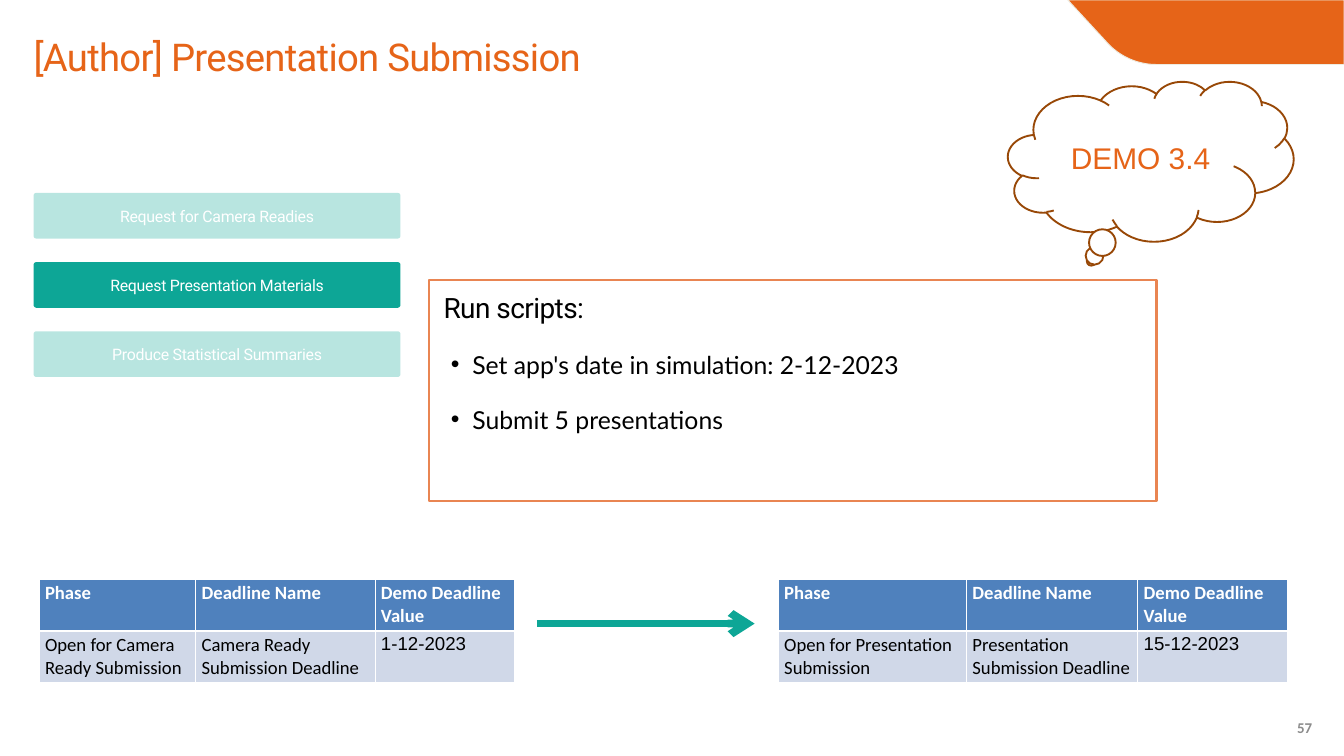
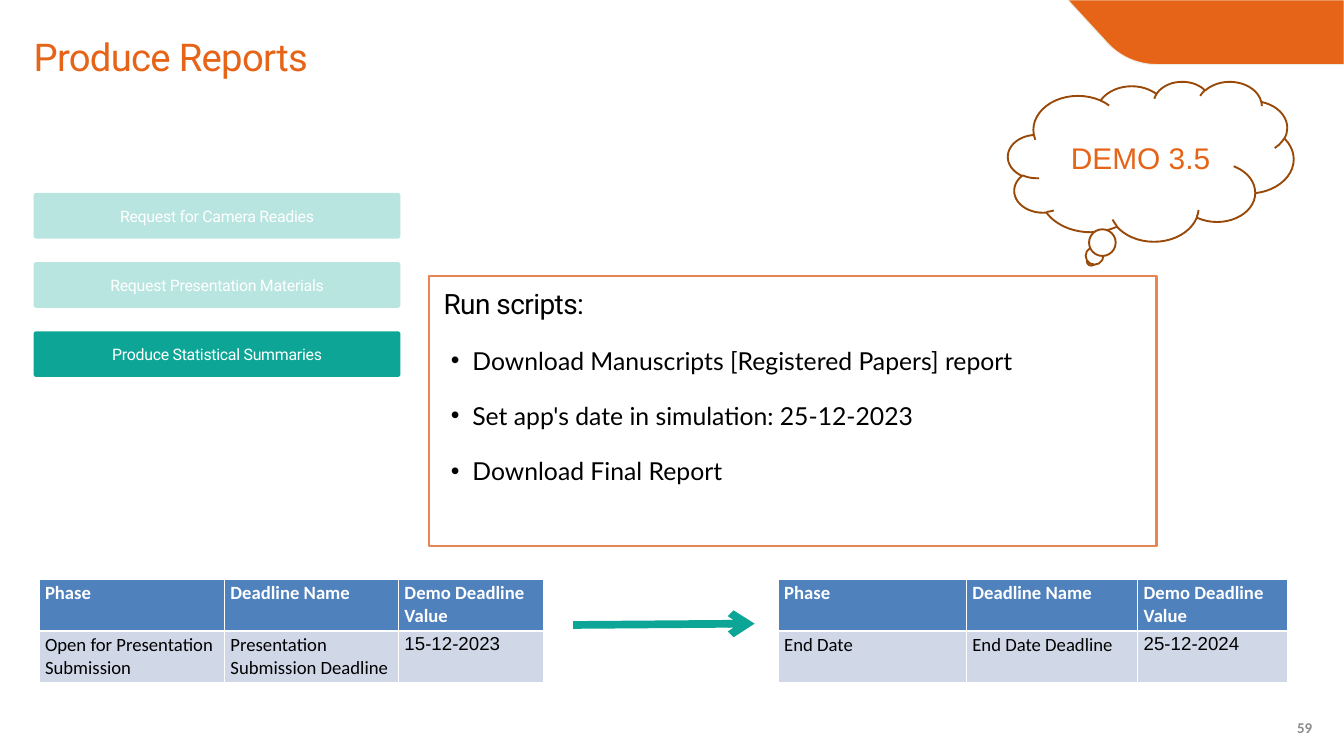
from dataclasses import dataclass

from lxml import etree
from pptx import Presentation
from pptx.dml.color import RGBColor
from pptx.enum.shapes import MSO_CONNECTOR, MSO_SHAPE
from pptx.enum.text import MSO_ANCHOR, MSO_AUTO_SIZE, PP_ALIGN
from pptx.oxml.ns import qn
from pptx.util import Inches, Pt

LEFT, CENTER = PP_ALIGN.LEFT, PP_ALIGN.CENTER
TOP, MIDDLE = MSO_ANCHOR.TOP, MSO_ANCHOR.MIDDLE
NO_AUTOFIT = MSO_AUTO_SIZE.NONE
STRAIGHT = MSO_CONNECTOR.STRAIGHT
CARD, CLOUD = MSO_SHAPE.ROUNDED_RECTANGLE, MSO_SHAPE.CLOUD_CALLOUT


@dataclass(frozen=True)
class Theme:
    orange: str = "E66418"
    panel_line: str = "E98552"
    cloud_line: str = "984807"
    band_line: str = "EEECE1"
    teal: str = "0DA696"
    header_blue: str = "4F81BD"
    row_blue: str = "D0D8E8"
    white: str = "FFFFFF"
    black: str = "000000"
    grey: str = "8C8C8C"
    heading_font: str = "Roboto"
    list_font: str = "Lato"
    table_font: str = "Calibri"
    plain_font: str = "Arial"
    title_size: float = 41
    heading_size: float = 30
    list_size: float = 26.5
    demo_size: float = 32
    table_size: float = 20
    card_size: float = 17
    number_size: float = 16


THEME = Theme()

STEPS = ["Request for Camera Readies", "Request Presentation Materials",
         "Produce Statistical Summaries"]
CARD_TOP, CARD_PITCH = 2.87, 1.03
TABLE_HEADER = ["Phase", "Deadline Name", "Demo Deadline Value"]
TABLE_TOP, ROW_HEIGHT = 8.62, 0.77
BEFORE_LEFT, AFTER_LEFT = 0.58, 11.58
AFTER_COLUMNS = [2.8, 2.55, 2.23]

SLIDES = [
    dict(title="[Author] Presentation Submission", number="57", demo="DEMO 3.4",
         active_step=1, panel_top=4.17, panel_height=3.29,
         scripts=["Set app's date in simulation: 2-12-2023",
                  "Submit 5 presentations"],
         before=["Open for Camera Ready Submission",
                 "Camera Ready Submission Deadline", "1-12-2023"],
         before_columns=[2.33, 2.67, 2.08],
         after=["Open for Presentation Submission",
                "Presentation Submission Deadline", "15-12-2023"],
         arrow_start=(7.99, 9.28)),
    dict(title="Produce Reports", number="59", demo="DEMO 3.5",
         active_step=2, panel_top=4.11, panel_height=4.02,
         scripts=["Download Manuscripts [Registered Papers] report",
                  "Set app's date in simulation: 25-12-2023",
                  "Download Final Report"],
         before=["Open for Presentation Submission",
                 "Presentation Submission Deadline", "15-12-2023"],
         before_columns=[2.76, 2.59, 2.16],
         after=["End Date", "End Date Deadline", "25-12-2024"],
         arrow_start=(8.53, 9.3)),
]


def rgb(color):
    return RGBColor.from_string(color)


def place(shape, left, top, width, height):
    shape.left, shape.top = Inches(left), Inches(top)
    shape.width, shape.height = Inches(width), Inches(height)


def paint(shape, fill, line=None, line_width=1):
    shape.fill.solid()
    shape.fill.fore_color.rgb = rgb(fill)
    if line:
        shape.line.color.rgb = rgb(line)
        shape.line.width = Pt(line_width)
    else:
        shape.line.fill.background()


def set_frame(shape, anchor, left=0.0, top=0.0, right=0.0, bottom=0.0):
    frame = shape.text_frame
    frame.word_wrap = True
    frame.auto_size = NO_AUTOFIT
    frame.vertical_anchor = anchor
    frame.margin_left, frame.margin_right = Inches(left), Inches(right)
    frame.margin_top, frame.margin_bottom = Inches(top), Inches(bottom)
    return frame


def write(paragraph, text, font, size, color, align=LEFT, bold=False,
          leading=None, tracking=None):
    """Fill a paragraph; leading and tracking are in points."""
    paragraph.text = text
    paragraph.alignment = align
    paragraph.space_before = Pt(0)
    if leading:
        paragraph.line_spacing = Pt(leading)
    style = paragraph.font
    style.name, style.size, style.bold = font, Pt(size), bold
    style.color.rgb = rgb(color)
    if tracking:
        properties = paragraph._p.get_or_add_pPr().find(qn("a:defRPr"))
        properties.set("spc", str(round(tracking * 100)))


def set_bullet(paragraph, symbol=None, margin=0.0, hanging=0.0):
    properties = paragraph._p.get_or_add_pPr()
    properties.set("marL", str(Inches(margin)))
    properties.set("indent", str(-Inches(hanging)))
    if symbol:
        etree.SubElement(properties, qn("a:buFont"), typeface=THEME.plain_font)
        etree.SubElement(properties, qn("a:buChar"), char=symbol)
    else:
        etree.SubElement(properties, qn("a:buNone"))


def add_title(slide, text):
    title = slide.shapes.title
    place(title, 0.5, 0.49, 17.92, 0.69)
    frame = set_frame(title, TOP)
    write(frame.paragraphs[0], text, THEME.heading_font, THEME.title_size,
          THEME.orange, leading=49.2, tracking=-0.8)


def add_script_panel(slide, top, height, scripts):
    panel = slide.placeholders[1]
    place(panel, 6.39, top, 10.82, height)
    paint(panel, THEME.white, THEME.panel_line, 2.25)
    frame = set_frame(panel, TOP, left=0.21, top=0.15, right=0.47)
    heading = frame.paragraphs[0]
    set_bullet(heading)
    write(heading, "Run scripts:", THEME.heading_font, THEME.heading_size,
          THEME.black, leading=36, tracking=-0.6)
    for script in scripts:
        item = frame.add_paragraph()
        item.level = 1
        set_bullet(item, "•", margin=0.43, hanging=0.32)
        write(item, script, THEME.list_font, THEME.list_size, THEME.black,
              leading=59.1)


def add_corner_band(slide):
    """Draw the band at the top right, with its rounded lower left corner."""
    curve = [(16.48, 0.64), (16.66, 0.84), (16.93, 0.96), (17.2, 0.96)]
    steps = 12
    outline = []
    for step in range(steps + 1):
        t = step / steps
        weights = [(1 - t) ** 3, 3 * t * (1 - t) ** 2, 3 * t ** 2 * (1 - t), t ** 3]
        outline.append(tuple(
            Inches(sum(w * point[axis] for w, point in zip(weights, curve)))
            for axis in (0, 1)))
    outline += [(Inches(20), Inches(0.96)), (Inches(20), 0)]
    builder = slide.shapes.build_freeform(Inches(15.89), 0)
    builder.add_line_segments(outline, close=True)
    band = builder.convert_to_shape()
    band.shadow.inherit = False
    paint(band, THEME.orange, THEME.band_line)


def add_demo_cloud(slide, text):
    cloud = slide.shapes.add_shape(CLOUD, Inches(15), Inches(1.21),
                                   Inches(4.25), Inches(2.38))
    cloud.shadow.inherit = False
    paint(cloud, THEME.white, THEME.cloud_line, 2)
    frame = set_frame(cloud, MIDDLE, 0.1, 0.05, 0.1, 0.05)
    write(frame.paragraphs[0], text, THEME.plain_font, THEME.demo_size,
          THEME.orange, CENTER)


def add_step_cards(slide, active_step):
    for index, step in enumerate(STEPS):
        card = slide.shapes.add_shape(
            CARD, Inches(0.5), Inches(CARD_TOP + index * CARD_PITCH),
            Inches(5.46), Inches(0.68))
        card.adjustments[0] = 0.06
        card.shadow.inherit = False
        paint(card, THEME.teal)
        if index != active_step:
            color = card._element.spPr.find(f"{qn('a:solidFill')}/{qn('a:srgbClr')}")
            etree.SubElement(color, qn("a:alpha"), val="29000")
        frame = set_frame(card, MIDDLE)
        write(frame.paragraphs[0], step, THEME.heading_font, THEME.card_size,
              THEME.white, CENTER, leading=20.9, tracking=-0.3)


def set_borders(cell, bottom_width):
    properties = cell._tc.get_or_add_tcPr()
    for side, width in (("L", 1), ("R", 1), ("T", 1), ("B", bottom_width)):
        border = etree.SubElement(properties, qn(f"a:ln{side}"), w=str(Pt(width)))
        fill = etree.SubElement(border, qn("a:solidFill"))
        etree.SubElement(fill, qn("a:srgbClr"), val=THEME.white)


def add_deadline_table(slide, left, columns, deadline):
    rows = [TABLE_HEADER, deadline]
    table = slide.shapes.add_table(
        len(rows), len(columns), Inches(left), Inches(TABLE_TOP),
        Inches(sum(columns)), Inches(ROW_HEIGHT * len(rows))).table
    table.horz_banding = False
    for column, width in zip(table.columns, columns):
        column.width = Inches(width)
    for row, texts in enumerate(rows):
        is_header = row == 0
        for column, text in enumerate(texts):
            cell = table.cell(row, column)
            cell.margin_left = cell.margin_right = Inches(0.09)
            cell.margin_top = cell.margin_bottom = Inches(0.04)
            set_borders(cell, 3 if is_header else 1)
            cell.fill.solid()
            cell.fill.fore_color.rgb = rgb(
                THEME.header_blue if is_header else THEME.row_blue)
            is_date = not is_header and column == len(columns) - 1
            write(cell.text_frame.paragraphs[0], text,
                  THEME.plain_font if is_date else THEME.table_font,
                  THEME.table_size, THEME.white if is_header else THEME.black,
                  bold=is_header)


def add_phase_arrow(slide, start):
    arrow = slide.shapes.add_connector(
        STRAIGHT, Inches(start[0]), Inches(start[1]), Inches(11.23), Inches(9.28))
    arrow.line.color.rgb = rgb(THEME.teal)
    arrow.line.width = Pt(8.25)
    etree.SubElement(arrow.line._get_or_add_ln(), qn("a:tailEnd"), type="arrow")
    etree.SubElement(arrow._element.spPr, qn("a:effectLst"))


def add_slide_number(slide, number):
    footer = slide.shapes.add_textbox(Inches(19.08), Inches(10.62),
                                      Inches(0.67), Inches(0.4))
    frame = set_frame(footer, MIDDLE, 0.1, 0.05, 0.1, 0.05)
    write(frame.paragraphs[0], number, THEME.table_font, THEME.number_size,
          THEME.grey, CENTER, bold=True)


def main():
    deck = Presentation()
    deck.slide_width, deck.slide_height = Inches(20), Inches(11.25)
    for content in SLIDES:
        slide = deck.slides.add_slide(deck.slide_layouts[1])
        add_title(slide, content["title"])
        add_script_panel(slide, content["panel_top"], content["panel_height"],
                         content["scripts"])
        add_phase_arrow(slide, content["arrow_start"])
        add_deadline_table(slide, BEFORE_LEFT, content["before_columns"],
                           content["before"])
        add_deadline_table(slide, AFTER_LEFT, AFTER_COLUMNS, content["after"])
        add_slide_number(slide, content["number"])
        add_demo_cloud(slide, content["demo"])
        add_corner_band(slide)
        add_step_cards(slide, content["active_step"])
    deck.save("out.pptx")


if __name__ == "__main__":
    main()
